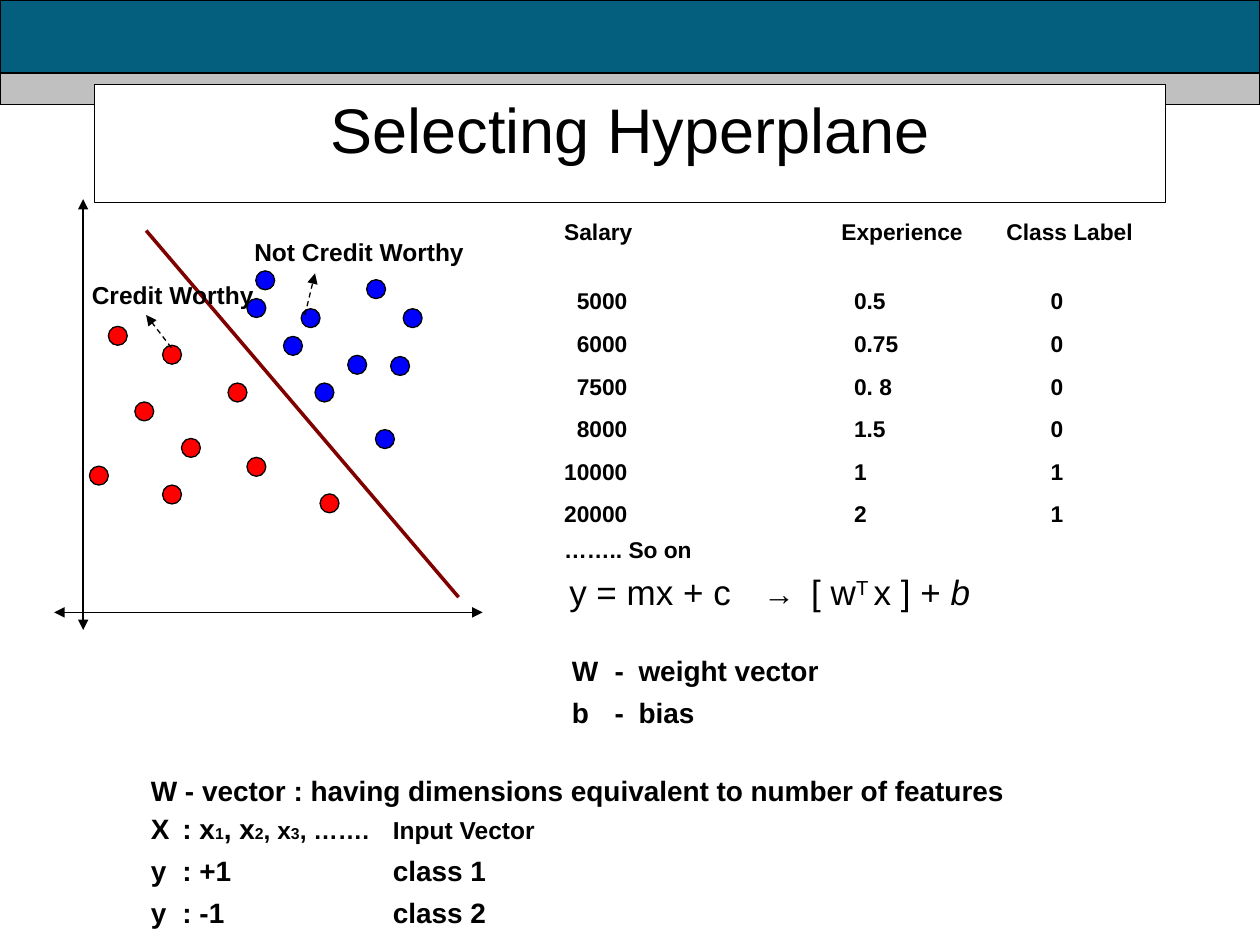
from lxml import etree
from pptx import Presentation
from pptx.dml.color import RGBColor
from pptx.enum import dml, shapes, text
from pptx.oxml.ns import qn
from pptx.util import Inches, Pt

THEME = dict(
    font="Arial", ink="000000", paper="FFFFFF", teal="045E7E", gray="C0C0C0",
    red="FF0000", blue="0000FF", maroon="800000",
    title=36, equation=20, arrow=18, note=16, label=14, data=13, sub=9,
    hairline=0.75, boundary=2,
)

# Content: a paragraph is (space before, runs); a run is (text, font changes)
TITLE = "Selecting Hyperplane"
BANDS = [((0, 0, 10, 0.83), "teal"), ((0, 0.58, 10, 0.25), "gray")]
DOT = 0.15
POINTS = {
    "red": [(0.86, 2.59), (1.07, 3.19), (1.29, 2.74), (0.71, 3.7), (1.44, 3.48),
            (1.96, 3.63), (1.29, 3.85), (1.81, 3.04), (2.54, 3.92)],
    "blue": [(1.96, 2.37), (2.91, 2.22), (2.25, 2.67), (2.03, 2.15), (2.76, 2.82),
             (2.39, 2.45), (2.5, 3.04), (2.98, 3.41), (3.2, 2.45), (3.1, 2.83)],
}
AXES = [(0.43, 4.86, 3.83, 4.86), (0.66, 1.58, 0.66, 5)]
HYPERPLANE = (1.16, 1.83, 3.64, 4.74)
CALLOUTS = [
    ("Not Credit Worthy", (1.92, 1.83, 1.87, 0.34), (2.42, 2.5, 2.5, 2.17)),
    ("Credit Worthy", (0.63, 2.17, 1.49, 0.34), (1.36, 2.76, 1.16, 2.5)),
]
HEADER = ("Salary", "Experience", "Class Label")
ROWS = [("5000", "0.5", "0"), ("6000", "0.75", "0"), ("7500", "0. 8", "0"),
        ("8000", "1.5", "0"), ("10000", "1", "1"), ("20000", "2", "1")]
MORE = "…….. So on"
SUB = {"size": THEME["sub"]}
LABEL = {"size": THEME["label"]}
EQUATION = [(0, [
    ("y = mx + c\t", {}), ("→", {"size": THEME["arrow"]}), ("\t[ w", {}),
    ("T ", {"baseline": 30000}), ("x ] + ", {}), ("b", {"italic": True})])]
LEGEND = [(0, [("W\t-\tweight vector", {})]), (4.8, [("b\t-\tbias", {})])]
NOTES = [
    (0, [("W - vector : having dimensions equivalent to number of features", {})]),
    (2.5, [("X\t: x", {}), ("1", SUB), (", x", {}), ("2", SUB), (", x", LABEL),
           ("3", SUB), (", …….\tInput Vector", LABEL)]),
    (4.8, [("y\t: +1\tclass 1", {})]),
    (4.8, [("y\t: -1\tclass 2", {})]),
]


def color(name):
    return RGBColor.from_string(THEME[name])


def set_font(font, size, bold):
    font.name, font.size, font.bold = THEME["font"], Pt(size), bold
    font.color.rgb = color("ink")


def set_tabs(p, stops):
    if stops:
        tabs = etree.SubElement(p._p.get_or_add_pPr(), qn("a:tabLst"))
        for pos, align in stops:
            etree.SubElement(tabs, qn("a:tab"), pos=str(Inches(pos)), algn=align)


def add_text(slide, box, paragraphs, size, bold=True, tabs=(), wrap=True):
    tf = slide.shapes.add_textbox(*map(Inches, box)).text_frame
    tf.word_wrap = wrap
    for i, (before, runs) in enumerate(paragraphs):
        p = tf.add_paragraph() if i else tf.paragraphs[0]
        set_tabs(p, tabs)
        p.space_before = Pt(before)
        set_font(p.font, size, bold)
        for words, changes in runs:
            r = p.add_run()
            r.text = words
            if "size" in changes:
                r.font.size = Pt(changes["size"])
            if "italic" in changes:
                r.font.italic = True
            if "baseline" in changes:
                r._r.get_or_add_rPr().set("baseline", str(changes["baseline"]))


def paint(sp, fill):
    sp.shadow.inherit = False
    sp.fill.solid()
    sp.fill.fore_color.rgb = color(fill)
    sp.line.color.rgb = color("ink")
    sp.line.width = Pt(THEME["hairline"])


def add_shape(slide, kind, box, fill):
    paint(slide.shapes.add_shape(kind, *map(Inches, box)), fill)


def add_line(slide, ends, ink="ink", width="hairline", arrows=(), dashed=False):
    line = slide.shapes.add_connector(
        shapes.MSO_CONNECTOR.STRAIGHT, *map(Inches, ends))
    line.line.color.rgb = color(ink)
    line.line.width = Pt(THEME[width])
    if dashed:
        line.line.dash_style = dml.MSO_LINE.DASH
    for end in arrows:
        etree.SubElement(line.line._get_or_add_ln(), qn("a:" + end), type="triangle")
    etree.SubElement(line._element.spPr, qn("a:effectLst"))


def add_title(slide):
    sp = slide.shapes.title
    slide.shapes._spTree.append(sp._element)  # in front of the bands
    sp.left, sp.top, sp.width, sp.height = map(Inches, (0.75, 0.67, 8.5, 0.94))
    paint(sp, "paper")
    tf = sp.text_frame
    tf.text = TITLE
    tf.auto_size = text.MSO_AUTO_SIZE.NONE
    tf.vertical_anchor = text.MSO_ANCHOR.TOP
    p = tf.paragraphs[0]
    p.alignment = text.PP_ALIGN.CENTER
    set_font(p.font, THEME["title"], False)


def add_plot(slide):
    for ends in AXES:
        add_line(slide, ends, arrows=("headEnd", "tailEnd"))
    for fill, spots in POINTS.items():
        for x, y in spots:
            add_shape(slide, shapes.MSO_SHAPE.OVAL, (x, y, DOT, DOT), fill)
    add_line(slide, HYPERPLANE, "maroon", "boundary")
    for words, box, pointer in CALLOUTS:
        add_text(slide, box, [(0, [(words, {})])], THEME["label"], wrap=False)
        add_line(slide, pointer, arrows=("tailEnd",), dashed=True)


def add_data(slide):
    # Header and closing line start at the box edge; salaries align right
    size = THEME["data"]
    add_text(slide, (4.38, 1.68, 5.2, 0.32), [(0, [("\t".join(HEADER), {})])],
             size, tabs=[(2.2, "l"), (3.51, "l")])
    rows = [(8.7 if i else 0, [("\t" + "\t".join(row), {})])
            for i, row in enumerate(ROWS)]
    add_text(slide, (4.38, 2.23, 5.2, 1.99), rows, size,
             tabs=[(0.5, "r"), (2.3, "l"), (3.86, "l")])
    add_text(slide, (4.38, 4.2, 2, 0.32), [(0, [(MORE, {})])], size)


def main():
    prs = Presentation()
    prs.slide_width, prs.slide_height = Inches(10), Inches(7.5)
    slide = prs.slides.add_slide(prs.slide_layouts[5])

    # Header
    for box, fill in BANDS:
        add_shape(slide, shapes.MSO_SHAPE.RECTANGLE, box, fill)
    add_title(slide)

    # Scatter plot and data
    add_plot(slide)
    add_data(slide)

    # Equation and explanations
    add_text(slide, (4.42, 4.48, 3.83, 0.44), EQUATION, THEME["equation"],
             bold=False, tabs=[(1.54, "l"), (1.92, "l")])
    add_text(slide, (4.44, 5.14, 2.3, 0.69), LEGEND, THEME["note"],
             tabs=[(0.34, "l"), (0.53, "l")])
    add_text(slide, (1.1, 6.09, 7.1, 1.31), NOTES, THEME["note"],
             tabs=[(0.25, "l"), (1.92, "l")])
    prs.save("out.pptx")


if __name__ == "__main__":
    main()
